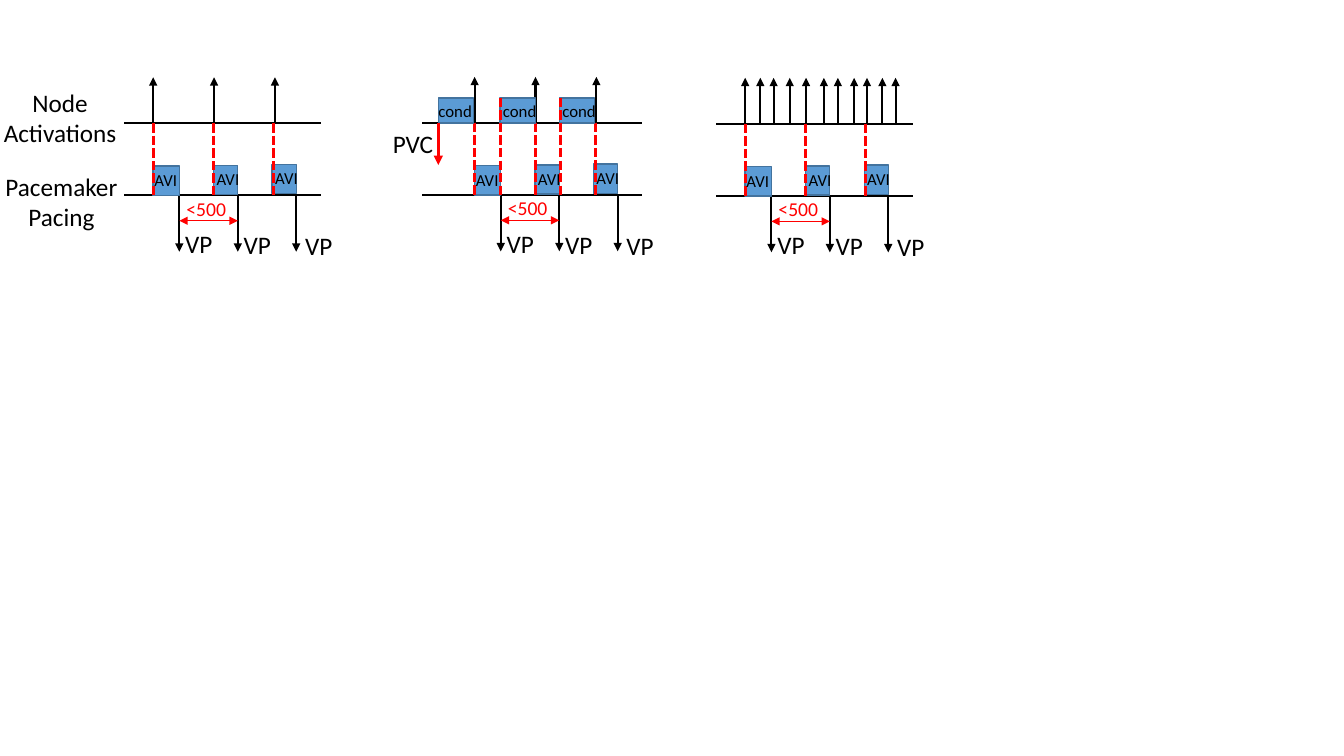
from dataclasses import dataclass

from lxml import etree
from pptx import Presentation
from pptx import util as u
from pptx.dml import color
from pptx.enum import dml, shapes, text
from pptx.oxml import ns


@dataclass(frozen=True)
class Theme:
    font: str = "Calibri"
    black: str = "000000"
    red: str = "FF0000"
    block_fill: str = "5B9BD5"
    block_line: str = "43739E"
    label_size: float = 18
    interval_size: float = 14
    block_size: float = 12
    line_width: float = 1.5
    dash_width: float = 2.25
    interval_width: float = 0.5


THEME = Theme()

# Vertical levels of a panel, in points below its top
ACTIVATION_LINE = 32.8
PACING_LINE = 84.4
PACING_TIP = 124.6
INTERVAL_LEVEL = 102.5
COND_TOP, COND_HEIGHT = 15, 18
AVI_TOP, AVI_HEIGHT = 63.5, 20.9

# Horizontal offsets from the first activation of a panel, in points
ACTIVATIONS = (0, 43.5, 87)
DASHES = (0, 43.3, 86.2)
AVI_STARTS = (0, 43.2, 85)
PACES = (18.7, 60.5, 102.2)
VP_LABELS = (15.8, 57.5, 101.4)
COND_STARTS = (-25.9, 18.2, 60.6)
EXTRA_ACTIVATIONS = (10.8, 20.3, 31.8, 56.2, 66.2, 77.8, 98, 107.4)


def add_text(slide, words, left, top, width, height, size=THEME.label_size,
             rgb=THEME.black, align=text.PP_ALIGN.LEFT):
    shape = slide.shapes.add_textbox(u.Pt(left), u.Pt(top), u.Pt(width), u.Pt(height))
    frame = shape.text_frame
    frame.word_wrap = False
    frame.auto_size = text.MSO_AUTO_SIZE.SHAPE_TO_FIT_TEXT
    frame.text = words
    for paragraph in frame.paragraphs:
        paragraph.alignment = align
        paragraph.font.name = THEME.font
        paragraph.font.size = u.Pt(size)
        paragraph.font.color.rgb = color.RGBColor.from_string(rgb)


def add_line(slide, start, end, rgb=THEME.black, width=THEME.line_width,
             dashed=False, ends=()):
    connector = slide.shapes.add_connector(
        shapes.MSO_CONNECTOR.STRAIGHT, *(u.Pt(value) for value in (*start, *end)))
    line = connector.line
    line.color.rgb = color.RGBColor.from_string(rgb)
    line.width = u.Pt(width)
    if dashed:
        line.dash_style = dml.MSO_LINE.SQUARE_DOT
    properties = connector._element.spPr
    outline = properties.find(ns.qn("a:ln"))
    for end_name in ends:
        etree.SubElement(outline, ns.qn(f"a:{end_name}"), type="triangle")
    etree.SubElement(properties, ns.qn("a:effectLst"))


def add_block(slide, left, top, width, height):
    shape = slide.shapes.add_shape(
        shapes.MSO_SHAPE.RECTANGLE, u.Pt(left), u.Pt(top), u.Pt(width), u.Pt(height))
    shape.shadow.inherit = False
    shape.fill.solid()
    shape.fill.fore_color.rgb = color.RGBColor.from_string(THEME.block_fill)
    shape.line.color.rgb = color.RGBColor.from_string(THEME.block_line)
    shape.line.width = u.Pt(1)


def add_activation(slide, x, top):
    add_line(slide, (x, top + ACTIVATION_LINE), (x, top), ends=["tailEnd"])


def add_row_labels(slide, left, top):
    for words, shift, down in (("Node\nActivations", 0, 0), ("Pacemaker\nPacing", 1, 60)):
        add_text(slide, words, left + shift, top + down, 95.4, 51,
                 align=text.PP_ALIGN.CENTER)


def add_panel(slide, left, top, width, first):
    """Draw two time lines with three paced beats; first is the x of the first beat."""
    for level in (ACTIVATION_LINE, PACING_LINE):
        add_line(slide, (left, top + level), (left + width, top + level))

    # Activations, paces and their labels
    for index, (activation, pace, label) in enumerate(zip(ACTIVATIONS, PACES, VP_LABELS)):
        add_activation(slide, first + activation, top)
        add_line(slide, (first + pace, top + PACING_LINE),
                 (first + pace, top + PACING_TIP), ends=["tailEnd"])
        add_text(slide, "VP", first + label, top + 104.7 + 0.6 * index, 34.6, 28.8)

    # AVI blocks, each running from its activation to its pace
    for index, (start, pace, dash) in enumerate(zip(AVI_STARTS, PACES, DASHES)):
        block_top = top + AVI_TOP - 0.6 * index
        add_block(slide, first + start, block_top, pace - start, AVI_HEIGHT)
        add_line(slide, (first + dash, top + ACTIVATION_LINE),
                 (first + dash, top + PACING_LINE),
                 rgb=THEME.red, width=THEME.dash_width, dashed=True)
        add_text(slide, "AVI", first + start - (5 if index else 6.2), block_top - 1,
                 31, 21.8, size=THEME.block_size)

    # Interval between the first two paces
    add_line(slide, (first + PACES[0], top + INTERVAL_LEVEL),
             (first + PACES[1], top + INTERVAL_LEVEL), rgb=THEME.red,
             width=THEME.interval_width, ends=["headEnd", "tailEnd"])
    add_text(slide, "<500", first + 16.7, top + 81.6, 43.2, 24.2,
             size=THEME.interval_size, rgb=THEME.red)


def add_conduction_panel(slide, left, top, width, first):
    add_panel(slide, left, top, width, first)

    # Conduction blocks, the later two started by a pace
    for index, start in enumerate(COND_STARTS):
        x = first + start
        add_block(slide, x, top + COND_TOP, 25.2, COND_HEIGHT)
        if index:
            add_line(slide, (x + 0.5, top + COND_TOP), (x + 0.5, top + PACING_LINE),
                     rgb=THEME.red, width=THEME.dash_width, dashed=True)
        add_text(slide, "cond", x - (5 if index else 7), top + 13.4, 38.9, 21.8,
                 size=THEME.block_size)

    # Premature beat
    pvc = first + COND_STARTS[0]
    add_line(slide, (pvc, top + ACTIVATION_LINE), (pvc, top + 63),
             rgb=THEME.red, width=THEME.dash_width, ends=["tailEnd"])
    add_text(slide, "PVC", pvc - 39.6, top + 33, 43.9, 28.8)


def add_rapid_panel(slide, left, top, width, first):
    add_panel(slide, left, top, width, first)
    for activation in EXTRA_ACTIVATIONS:
        add_activation(slide, first + activation, top)


def main():
    presentation = Presentation()
    presentation.slide_width = u.Pt(960)
    presentation.slide_height = u.Pt(540)
    slide = presentation.slides.add_slide(presentation.slide_layouts[6])
    add_row_labels(slide, left=-4.8, top=59)
    add_panel(slide, left=88.6, top=55.2, width=140.4, first=109.4)
    add_conduction_panel(slide, left=301.8, top=54.9, width=156.9, first=339)
    add_rapid_panel(slide, left=511.6, top=55.6, width=140.4, first=532.3)
    presentation.save("out.pptx")


if __name__ == "__main__":
    main()
